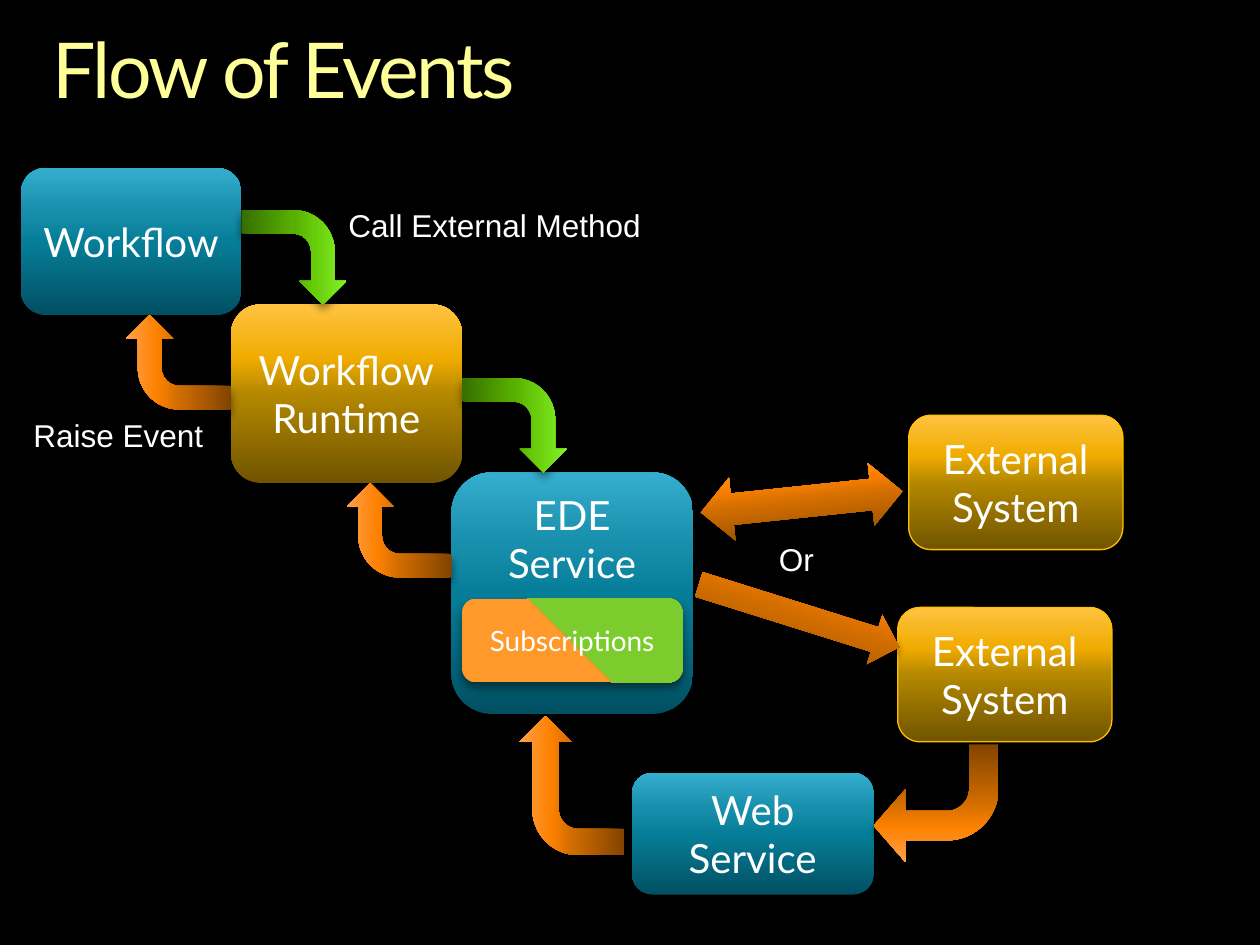
import pptx
import pptx.util
import pptx.dml.color
import pptx.enum.shapes
import pptx.enum.text
import pptx.oxml
import pptx.oxml.ns
from dataclasses import dataclass, field
from lxml import etree

Pt = pptx.util.Pt
qn = pptx.oxml.ns.qn
Shape = pptx.enum.shapes.MSO_SHAPE
Anchor = pptx.enum.text.MSO_ANCHOR
Align = pptx.enum.text.PP_ALIGN

COLUMNS, ROWS = 120, 90
CELL = pptx.util.Inches(10) / COLUMNS


@dataclass(frozen=True)
class Theme:
    background: str = "000000"
    outline: str = "FFC000"
    title: dict = field(default_factory=lambda: {"name": "Lato", "size": Pt(44), "color": "FFFF99"})
    box: dict = field(default_factory=lambda: {"name": "Lato", "size": Pt(23), "color": "FFFFFF"})
    small: dict = field(default_factory=lambda: {"name": "Lato", "size": Pt(16), "color": "FFFFFF"})
    label: dict = field(default_factory=lambda: {"name": "Arial", "size": Pt(18), "color": "FFFFFF"})
    blue: tuple = ((0, "015062"), (50, "077E99"), (70, "178EAB"), (100, "35ADCE"))
    gold: tuple = ((0, "705400"), (50, "B48800"), (70, "F0AC00"), (100, "FFC342"))
    green: tuple = ((0, "376E00"), (50, "58B100"), (70, "68CC0B"), (100, "83F229"))
    orange: tuple = ((0, "824400"), (50, "D16D00"), (70, "FE8100"), (100, "FFA04B"))
    split: tuple = ((0, "FF9929"), (49, "FF9929"), (50, "7DCC2E"), (100, "7DCC2E"))


THEME = Theme()


def rgb(code):
    return pptx.dml.color.RGBColor.from_string(code)


def grid(*cells):
    """Turn column and row counts into lengths."""
    return [round(count * CELL) for count in cells]


def set_format(target, values):
    for name, value in values.items():
        if name == "color":
            target.color.rgb = rgb(value)
        else:
            setattr(target, name, value)


def write(frame, text, font, para_format, frame_format):
    set_format(frame, frame_format)
    frame.text = text
    for para in frame.paragraphs:
        set_format(para, para_format)
        for span in para.runs:
            set_format(span.font, font)


def add_color(parent, code, alpha=None):
    color = etree.SubElement(parent, qn("a:srgbClr"), val=code)
    if alpha is not None:
        etree.SubElement(color, qn("a:alpha"), val=str(alpha * 1000))


def fill_gradient(shape, stops, angle):
    """Fill with (percent, colour) stops; the angle runs counter-clockwise."""
    shape.fill.gradient()
    shape.fill.gradient_angle = angle
    stop_list = shape.element.spPr.find(qn("a:gradFill")).find(qn("a:gsLst"))
    for stop in list(stop_list):
        stop_list.remove(stop)
    for percent, code in stops:
        add_color(etree.SubElement(stop_list, qn("a:gs"), pos=str(percent * 1000)), code)


def add_shadow(shape, alpha, blur):
    shape.shadow.inherit = False
    effects = shape.element.spPr.find(qn("a:effectLst"))
    shadow = etree.SubElement(effects, qn("a:outerShdw"), blurRad=str(Pt(blur)),
                              dist=str(Pt(3)), dir="5400000", rotWithShape="0")
    add_color(shadow, "000000", alpha)


def add_solid(slide, kind, place, stops, angle=90, outline=None):
    shape = slide.shapes.add_shape(kind, *grid(*place))
    fill_gradient(shape, stops, angle)
    if outline:
        shape.line.color.rgb = rgb(outline)
        shape.line.width = Pt(0.75)
        add_shadow(shape, 35, 4)
    else:
        shape.line.fill.background()
        add_shadow(shape, 45, 5)
    return shape


def add_box(slide, text, place, stops, font=THEME.box, anchor=Anchor.MIDDLE, **style):
    box = add_solid(slide, Shape.ROUNDED_RECTANGLE, place, stops, **style)
    write(box.text_frame, text, font, {"alignment": Align.CENTER},
          {"vertical_anchor": anchor, "word_wrap": True})


def add_arrow(slide, kind, place, rotation, stops=THEME.orange, adjustments=()):
    arrow = add_solid(slide, kind, place, stops)
    arrow.rotation = rotation
    for index, value in enumerate(adjustments):
        arrow.adjustments[index] = value


def add_bend(slide, place, rotation, stops=THEME.orange, adjustments=(0.25, 0.25, 0.25, 0.44)):
    add_arrow(slide, Shape.BENT_ARROW, place, rotation, stops, adjustments)


def add_label(slide, text, place):
    label = slide.shapes.add_textbox(*grid(*place))
    write(label.text_frame, text, THEME.label, {}, {"word_wrap": False})


def add_title(slide, text):
    title = slide.shapes.title
    set_format(title, dict(zip(("left", "top", "width", "height"), grid(5, 3, 110, 8))))
    margins = dict.fromkeys(("margin_left", "margin_top", "margin_right", "margin_bottom"), 0)
    write(title.text_frame, text, THEME.title,
          {"alignment": Align.LEFT, "line_spacing": 0.9},
          {**margins, "vertical_anchor": Anchor.TOP, "word_wrap": True})
    for span in title.text_frame.paragraphs[0].runs:
        span.font._element.set("spc", "-150")


def add_boxes(slide):
    add_box(slide, "Workflow", (2, 16, 21, 14), THEME.blue)
    add_box(slide, "EDE Service", (43, 45, 23, 23), THEME.blue, anchor=Anchor.TOP)
    add_box(slide, "Subscriptions", (44, 57, 21, 8), THEME.split, THEME.small, angle=45)
    add_box(slide, "Workflow\vRuntime", (22, 29, 22, 17), THEME.gold)
    add_box(slide, "Web\vService", (60.2, 73.6, 23, 11.6), THEME.blue, anchor=Anchor.TOP)
    for left, top in ((85.5, 57.85), (86.55, 39.55)):
        add_box(slide, "External System", (left, top, 20.4, 12.8), THEME.gold,
                outline=THEME.outline)


def add_arrows(slide):
    for step in range(2):
        right, down = 21 * step, 16 * step
        add_bend(slide, (23.5 + right, 19.5 + down, 9, 10), 90, THEME.green)
        add_bend(slide, (12.5 + right, 29.5 + down, 9, 10), 270)
    add_bend(slide, (83.2, 70.9, 11.9, 11.2), 180, adjustments=(0.25, 0.31, 0.27, 0.44))
    add_bend(slide, (47.8, 69.8, 13.3, 10), 270)
    add_arrow(slide, Shape.LEFT_RIGHT_ARROW, (66.7, 44.8, 19.3, 6), 354)
    add_arrow(slide, Shape.RIGHT_ARROW, (66.1, 56.2, 20, 4.9), 17.4)


def main():
    deck = pptx.Presentation()
    deck.slide_width, deck.slide_height = grid(COLUMNS, ROWS)
    slide = deck.slides.add_slide(deck.slide_layouts.get_by_name("Title Only"))
    slide.background.fill.solid()
    slide.background.fill.fore_color.rgb = rgb(THEME.background)
    add_title(slide, "Flow of Events")
    add_boxes(slide)
    add_arrows(slide)
    add_label(slide, "Call External Method", (32, 19, 30.5, 4.8))
    add_label(slide, "Raise Event", (2, 39, 18.7, 4.8))
    add_label(slide, "Or", (73, 50.8, 5.8, 4.8))
    deck.save("out.pptx")


if __name__ == "__main__":
    main()
